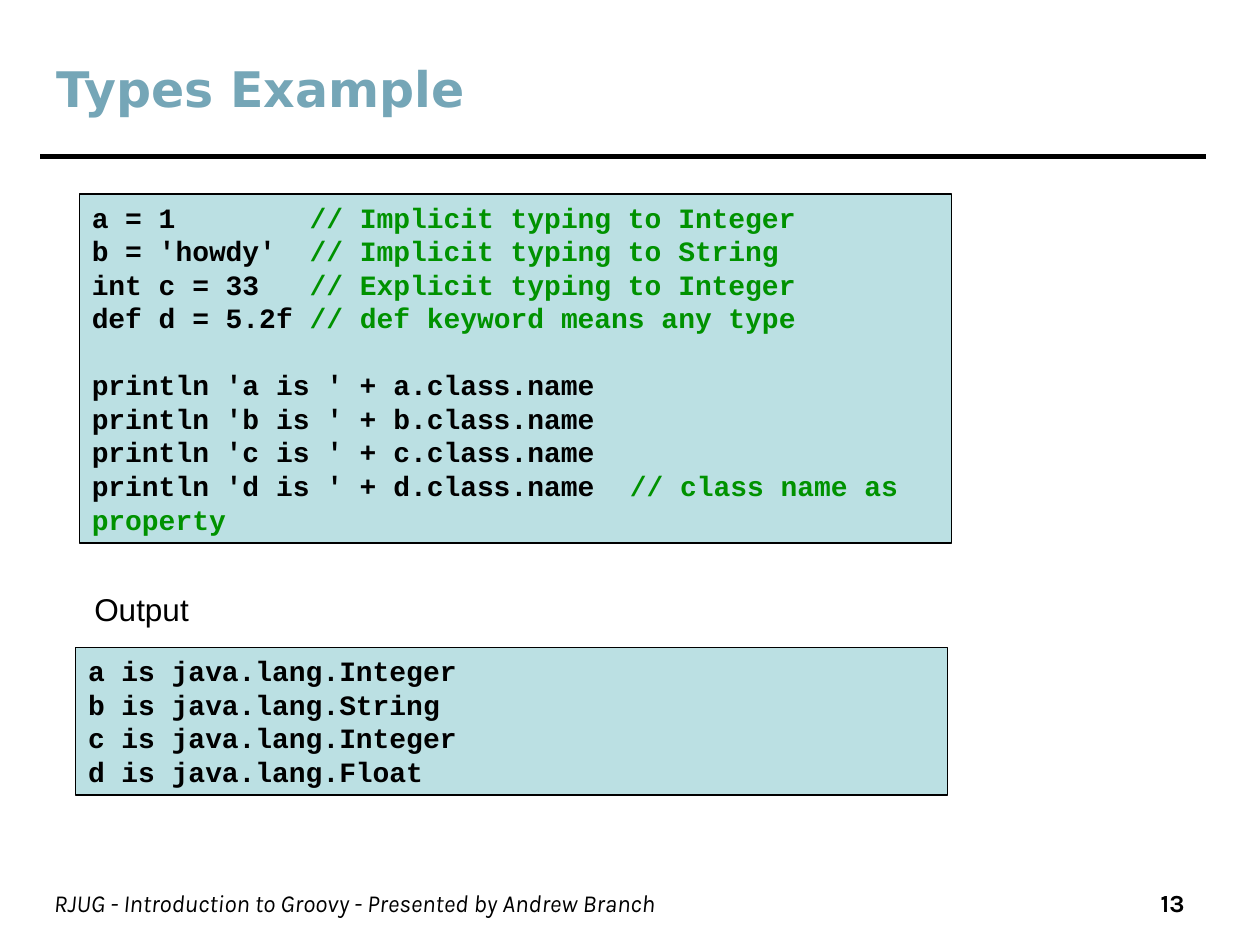
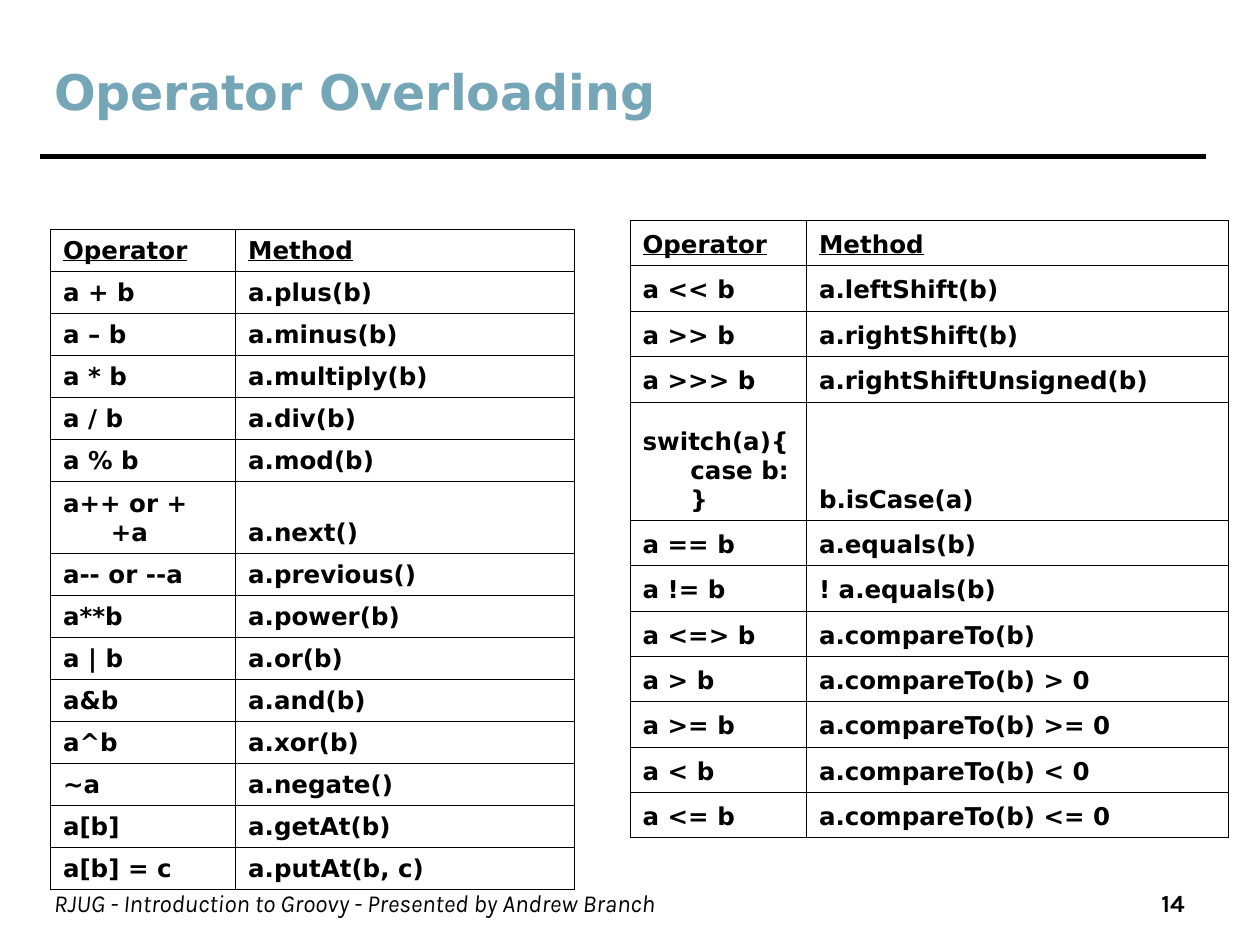
"""Build two slides on Groovy: a typing example and operator overloading."""
from lxml.etree import SubElement
from pptx import Presentation
from pptx.dml.color import RGBColor
from pptx.enum.shapes import MSO_CONNECTOR, MSO_SHAPE
from pptx.enum.text import MSO_ANCHOR, MSO_AUTO_SIZE, PP_ALIGN
from pptx.oxml.ns import qn
from pptx.util import Inches, Pt

COLORS = {
    "title": "75A6B7",
    "text": "000000",
    "comment": "009200",
    "code_box": "BBE0E3",
}
TITLE_FONT = "DejaVu Sans"
CODE_FONT = "Courier New"
FOOTER_FONT = "Karla"
FOOTER = "RJUG - Introduction to Groovy - Presented by Andrew Branch"
COMMENT_STOPS = (1.73, 4.27)
HANGING_INDENT = 0.38

TYPE_LINES = [
    ("a = 1", "// Implicit typing to Integer"),
    ("b = 'howdy'", "// Implicit typing to String"),
    ("int c = 33", "// Explicit typing to Integer"),
    ("def d = 5.2f", "// def keyword means any type"),
]
PRINT_LINES = [
    ("println 'a is ' + a.class.name", ""),
    ("println 'b is ' + b.class.name", ""),
    ("println 'c is ' + c.class.name", ""),
    ("println 'd is ' + d.class.name", "// class name as property"),
]
OUTPUT_LINES = [
    ("a is java.lang.Integer", ""),
    ("b is java.lang.String", ""),
    ("c is java.lang.Integer", ""),
    ("d is java.lang.Float", ""),
]
HEADINGS = ("Operator", "Method")
ARITHMETIC_OPERATORS = [
    HEADINGS,
    ("a + b", "a.plus(b)"),
    ("a – b", "a.minus(b)"),
    ("a * b", "a.multiply(b)"),
    ("a / b", "a.div(b)"),
    ("a % b", "a.mod(b)"),
    ("a++ or ++a", "a.next()"),
    ("a-- or --a", "a.previous()"),
    ("a**b", "a.power(b)"),
    ("a | b", "a.or(b)"),
    ("a&b", "a.and(b)"),
    ("a^b", "a.xor(b)"),
    ("~a", "a.negate()"),
    ("a[b]", "a.getAt(b)"),
    ("a[b] = c", "a.putAt(b, c)"),
]
COMPARISON_OPERATORS = [
    HEADINGS,
    ("a << b", "a.leftShift(b)"),
    ("a >> b", "a.rightShift(b)"),
    ("a >>> b", "a.rightShiftUnsigned(b)"),
    ("switch(a){\ncase b:\n}", "b.isCase(a)"),
    ("a == b", "a.equals(b)"),
    ("a != b", "! a.equals(b)"),
    ("a <=> b", "a.compareTo(b)"),
    ("a > b", "a.compareTo(b) > 0"),
    ("a >= b", "a.compareTo(b) >= 0"),
    ("a < b", "a.compareTo(b) < 0"),
    ("a <= b", "a.compareTo(b) <= 0"),
]


def color(name):
    """Return a named colour."""
    return RGBColor.from_string(COLORS[name])


def add_run(paragraph, text, font, size, color_name="text", bold=False, italic=False):
    """Add a formatted run and return it."""
    run = paragraph.add_run()
    run.text = text
    run.font.name = font
    run.font.size = Pt(size)
    run.font.bold = bold
    run.font.italic = italic
    run.font.color.rgb = color(color_name)
    return run


def add_label(slide, box, text, font, size, align=PP_ALIGN.LEFT, wrap=True, **style):
    """Add a one-line text box."""
    frame = slide.shapes.add_textbox(*map(Inches, box)).text_frame
    frame.word_wrap = wrap
    paragraph = frame.paragraphs[0]
    paragraph.alignment = align
    add_run(paragraph, text, font, size, **style)


def add_title(slide, box, text):
    """Place and format the title placeholder."""
    title = slide.shapes.title
    title.left, title.top, title.width, title.height = map(Inches, box)
    frame = title.text_frame
    frame.auto_size = MSO_AUTO_SIZE.NONE
    frame.vertical_anchor = MSO_ANCHOR.MIDDLE
    paragraph = frame.paragraphs[0]
    paragraph.alignment = PP_ALIGN.LEFT
    add_run(paragraph, text, TITLE_FONT, 28, "title", bold=True)


def add_rule(slide):
    """Draw the heavy rule under the title."""
    rule = slide.shapes.add_connector(
        MSO_CONNECTOR.STRAIGHT, Inches(0.32), Inches(1.24), Inches(9.57), Inches(1.24)
    )
    rule.line.color.rgb = color("text")
    rule.line.width = Pt(3)
    SubElement(rule._element.spPr, qn("a:effectLst"))


def add_page(presentation, title, title_box, number):
    """Add a slide with the shared title, rule and footer."""
    slide = presentation.slides.add_slide(presentation.slide_layouts[5])
    add_rule(slide)
    add_label(slide, (0.33, 7, 7.85, 0.35), FOOTER, FOOTER_FONT, 14, italic=True)
    add_label(slide, (8.39, 7, 1.11, 0.35), str(number), FOOTER_FONT, 14,
              PP_ALIGN.RIGHT, bold=True)
    add_title(slide, title_box, title)
    return slide


def set_tab_stops(paragraph, stops):
    """Give a paragraph left tab stops, in inches."""
    tab_list = SubElement(paragraph._p.get_or_add_pPr(), qn("a:tabLst"))
    for stop in stops:
        SubElement(tab_list, qn("a:tab"), pos=str(Inches(stop)), algn="l")


def add_code_box(slide, box, blocks):
    """Add a code listing whose blocks are set one line apart."""
    shape = slide.shapes.add_shape(MSO_SHAPE.RECTANGLE, *map(Inches, box))
    shape.shadow.inherit = False
    shape.fill.solid()
    shape.fill.fore_color.rgb = color("code_box")
    shape.line.color.rgb = color("text")
    shape.line.width = Pt(0.75)
    frame = shape.text_frame
    frame.word_wrap = True
    frame.auto_size = MSO_AUTO_SIZE.SHAPE_TO_FIT_TEXT
    frame.vertical_anchor = MSO_ANCHOR.TOP
    paragraph = None
    for block in blocks:
        for index, (code, comment) in enumerate(block):
            starts_new_block = paragraph is not None and index == 0
            paragraph = frame.add_paragraph() if paragraph else frame.paragraphs[0]
            paragraph.alignment = PP_ALIGN.LEFT
            if starts_new_block:
                paragraph.space_before = Pt(19)
            if comment:
                set_tab_stops(paragraph, COMMENT_STOPS)
                code += "\t"
            add_run(paragraph, code, CODE_FONT, 16, bold=True)
            if comment:
                add_run(paragraph, comment, CODE_FONT, 16, "comment", bold=True)


def add_borders(cell):
    """Draw thin lines on all four sides of a cell."""
    properties = cell._tc.get_or_add_tcPr()
    for side in ("lnL", "lnR", "lnT", "lnB"):
        line = SubElement(properties, qn(f"a:{side}"), w=str(Pt(0.45)))
        fill = SubElement(line, qn("a:solidFill"))
        SubElement(fill, qn("a:srgbClr"), val=COLORS["text"])


def fill_cell(cell, text, is_heading):
    """Write one bordered cell with a hanging indent."""
    add_borders(cell)
    cell.fill.background()
    cell.vertical_anchor = MSO_ANCHOR.BOTTOM
    paragraph = cell.text_frame.paragraphs[0]
    indent = Inches(HANGING_INDENT)
    properties = paragraph._p.get_or_add_pPr()
    properties.set("marL", str(indent))
    properties.set("indent", str(-indent))
    for index, line in enumerate(text.split("\n")):
        if index:
            paragraph.add_line_break()
        run = add_run(paragraph, line, TITLE_FONT, 14, bold=True)
        run.font.underline = is_heading


def add_operator_table(slide, left, top, widths, rows, row_height, tall_row):
    """Add an operator table; tall_row is the index and height of its tall row."""
    tall_index, tall_height = tall_row
    heights = [row_height] * len(rows)
    heights[tall_index] = tall_height
    table = slide.shapes.add_table(
        len(rows), len(widths), Inches(left), Inches(top),
        Inches(sum(widths)), Inches(sum(heights))
    ).table
    table.first_row = False
    table.horz_banding = False
    for column, width in zip(table.columns, widths):
        column.width = Inches(width)
    for index, (row, height, texts) in enumerate(zip(table.rows, heights, rows)):
        row.height = Inches(height)
        for cell, text in zip(row.cells, texts):
            fill_cell(cell, text, index == 0)


def main():
    """Build and save the presentation."""
    presentation = Presentation()
    presentation.slide_width = Inches(10)
    presentation.slide_height = Inches(7.5)

    types = add_page(presentation, "Types Example", (0.35, 0.56, 7.42, 0.28), 13)
    add_code_box(types, (0.63, 1.54, 6.92, 2.77), [TYPE_LINES, PRINT_LINES])
    add_code_box(types, (0.6, 5.14, 6.92, 1.17), [OUTPUT_LINES])
    add_label(types, (0.65, 4.63, 0.95, 0.4), "Output", "Arial", 18, wrap=False)

    operators = add_page(
        presentation, "Operator Overloading", (0.33, 0.33, 7.42, 0.78), 14
    )
    add_operator_table(operators, 0.4, 1.82, (1.47, 2.69), ARITHMETIC_OPERATORS,
                       0.3, (6, 0.54))
    add_operator_table(operators, 5, 1.75, (1.4, 3.35), COMPARISON_OPERATORS,
                       0.36, (4, 0.94))

    presentation.save("out.pptx")


if __name__ == "__main__":
    main()
